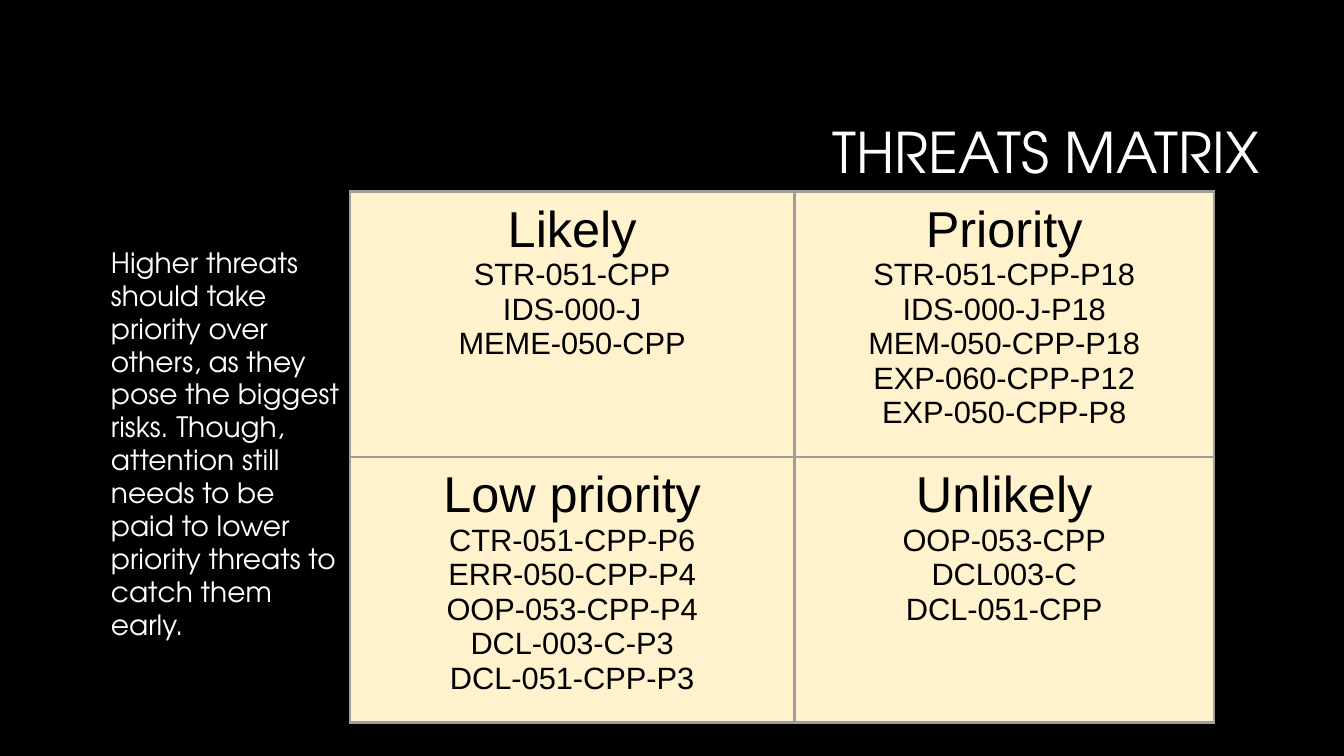
from dataclasses import dataclass

from lxml import etree
from pptx import Presentation
from pptx.dml.color import RGBColor
from pptx.enum.text import MSO_ANCHOR, PP_ALIGN
from pptx.oxml.ns import qn
from pptx.util import Inches, Pt

LEFT, CENTER, RIGHT = PP_ALIGN.LEFT, PP_ALIGN.CENTER, PP_ALIGN.RIGHT
TOP, MIDDLE = MSO_ANCHOR.TOP, MSO_ANCHOR.MIDDLE


@dataclass(frozen=True)
class Theme:
    background: str = "000000"
    light: str = "FFFFFF"
    dark: str = "000000"
    cell: str = "FFF2CC"
    border: str = "9E9E9E"
    display: str = "TeX Gyre Adventor"
    sans: str = "Arial"
    title: int = 40
    heading: int = 36
    item: int = 22
    body: int = 20


theme = Theme()


def write(p, text, size, font=theme.display, color=theme.light, align=LEFT, spacing=1.0):
    p.alignment = align
    p.line_spacing = spacing
    r = p.add_run()
    r.text = text
    r.font.size = Pt(size)
    r.font.name = font
    r.font.color.rgb = RGBColor.from_string(color)


def add_borders(cell, color, width):
    tc_pr = cell._tc.get_or_add_tcPr()
    for i, side in enumerate(("a:lnL", "a:lnR", "a:lnT", "a:lnB")):
        ln = etree.Element(qn(side), w=str(Pt(width)))
        fill = etree.SubElement(ln, qn("a:solidFill"))
        etree.SubElement(fill, qn("a:srgbClr"), val=color)
        tc_pr.insert(i, ln)


prs = Presentation()
prs.slide_width, prs.slide_height = Inches(13.33), Inches(7.5)
slide = prs.slides.add_slide(prs.slide_layouts[5])
slide.background.fill.solid()
slide.background.fill.fore_color.rgb = RGBColor.from_string(theme.background)

# Title
title = slide.shapes.title
title.left, title.top = Inches(3.17), Inches(0.84)
title.width, title.height = Inches(9.42), Inches(1.41)
tf = title.text_frame
tf.vertical_anchor = MIDDLE
write(tf.paragraphs[0], "THREATS MATRIX", theme.title, align=RIGHT, spacing=0.9)

# Explanation beside the matrix
sp = slide.shapes.add_textbox(Inches(0.75), Inches(2.4), Inches(2.72), Inches(4.4))
tf = sp.text_frame
tf.word_wrap = True
tf.vertical_anchor = TOP
tf.margin_left = Inches(0.35)
write(
    tf.paragraphs[0],
    "Higher threats should take priority over others, as they pose the biggest risks. "
    "Though, attention still needs to be paid to lower priority threats to catch them early.",
    theme.body,
    spacing=0.98,
)

# Threat matrix: heading and threat codes per cell
matrix = [
    [
        ("Likely", ["STR-051-CPP", "IDS-000-J", "MEME-050-CPP"]),
        ("Priority", ["STR-051-CPP-P18", "IDS-000-J-P18", "MEM-050-CPP-P18",
                      "EXP-060-CPP-P12", "EXP-050-CPP-P8"]),
    ],
    [
        ("Low priority", ["CTR-051-CPP-P6", "ERR-050-CPP-P4", "OOP-053-CPP-P4",
                          "DCL-003-C-P3", "DCL-051-CPP-P3"]),
        ("Unlikely", ["OOP-053-CPP", "DCL003-C", "DCL-051-CPP"]),
    ],
]
column_widths = (4.41, 4.16)
row_height = 2.47
table = slide.shapes.add_table(
    2, 2, Inches(3.47), Inches(1.9), Inches(sum(column_widths)), Inches(2 * row_height)
).table
table.first_row = table.horz_banding = False
for column, width in zip(table.columns, column_widths):
    column.width = Inches(width)

for row, quadrants in zip(table.rows, matrix):
    row.height = Inches(row_height)
    for cell, (heading, threats) in zip(row.cells, quadrants):
        cell.fill.solid()
        cell.fill.fore_color.rgb = RGBColor.from_string(theme.cell)
        cell.vertical_anchor = TOP
        cell.margin_left = cell.margin_right = Inches(0.1)
        cell.margin_top = cell.margin_bottom = Inches(0.1)
        add_borders(cell, theme.border, 2.25)
        tf = cell.text_frame
        write(tf.paragraphs[0], heading, theme.heading, theme.sans, theme.dark, CENTER)
        for threat in threats:
            write(tf.add_paragraph(), threat, theme.item, theme.sans, theme.dark, CENTER)

prs.save("out.pptx")
